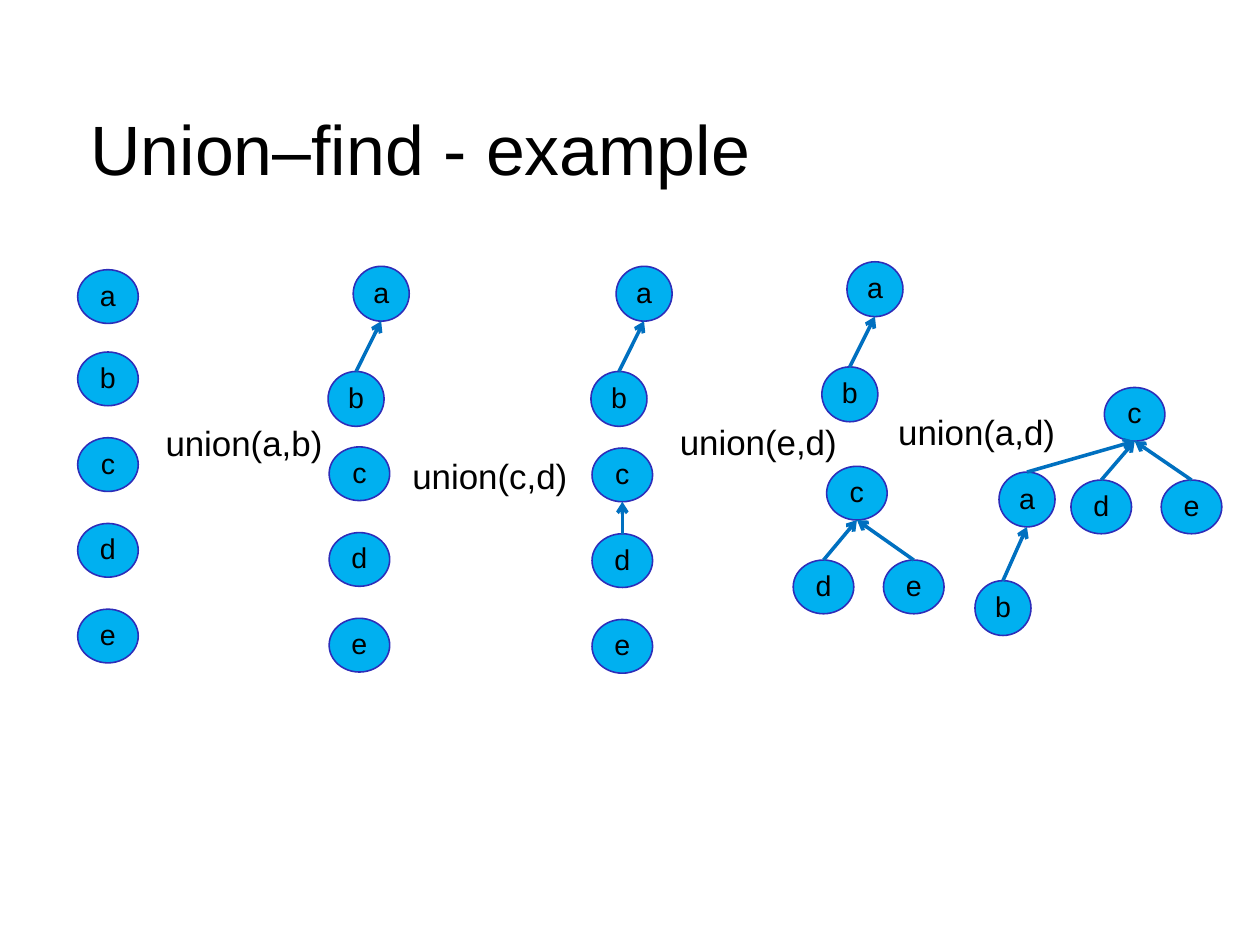
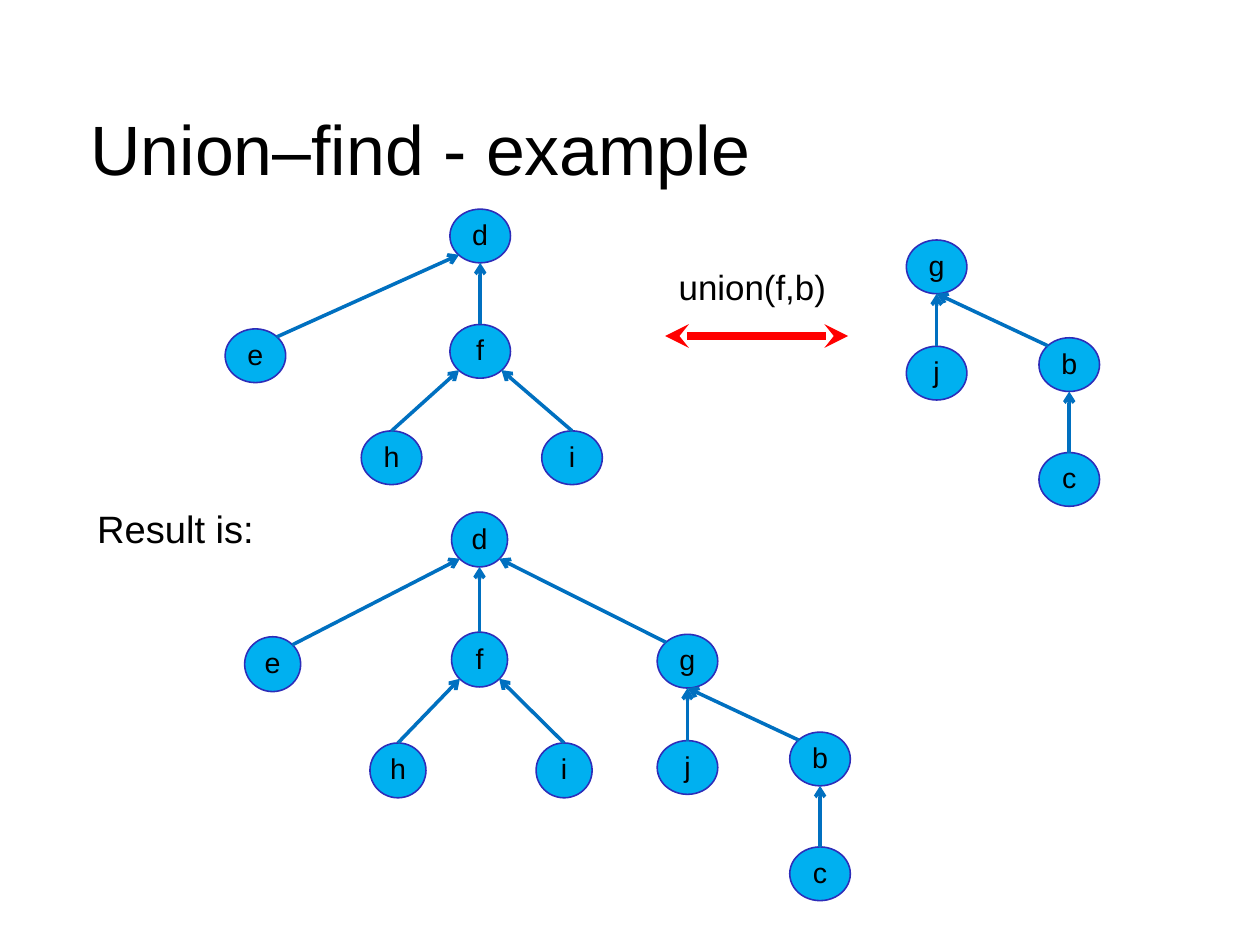
"""Builds two slides that show union-find trees being merged."""
from lxml import etree
from pptx import Presentation
from pptx import util as u
from pptx.dml import color
from pptx.enum import shapes, text
from pptx.oxml import ns

BLACK = color.RGBColor(0x00, 0x00, 0x00)
NODE_FILL = color.RGBColor(0x00, 0xB0, 0xF0)
NODE_LINE = color.RGBColor(0x2D, 0x2D, 0xB9)
EDGE = color.RGBColor(0x00, 0x70, 0xC0)
RED = color.RGBColor(0xFF, 0x00, 0x00)
FONT = "Arial"
TITLE = "Union–find - example"

WIDE, ROUND = (0.53, 0.47), (0.49, 0.48)

TOP, BOTTOM = (0.5, 0), (0.5, 1)
TOP_LEFT, TOP_RIGHT = (0.15, 0.15), (0.85, 0.15)
BOTTOM_LEFT, BOTTOM_RIGHT = (0.15, 0.85), (0.85, 0.85)

PAIR = {"a": (1, 0), "b": (0, 1)}
PAIR_EDGES = [("a", BOTTOM, "b", TOP)]
FAN = {"c": (0.37, 0), "d": (0, 1), "e": (1, 1)}
FAN_EDGES = [("c", BOTTOM, "d", TOP), ("c", BOTTOM, "e", TOP)]
D_TREE = {"d": (0.71, 0), "e": (0, 0.54), "f": (0.71, 0.52),
          "h": (0.43, 1), "i": (1, 1)}
D_EDGES = [("d", BOTTOM_LEFT, "e", TOP_RIGHT), ("d", BOTTOM, "f", TOP),
           ("f", BOTTOM_LEFT, "h", TOP), ("f", BOTTOM_RIGHT, "i", TOP)]
G_TREE = {"g": (0, 0), "j": (0, 0.5), "b": (1, 0.46), "c": (1, 1)}
G_EDGES = [("g", BOTTOM, "j", TOP), ("g", BOTTOM, "b", TOP_LEFT),
           ("b", BOTTOM, "c", TOP)]


def write(frame, words, size, align=text.PP_ALIGN.LEFT,
          anchor=text.MSO_ANCHOR.TOP, insets=(0.1, 0.05, 0.05), wrap=True):
    """Write one formatted paragraph; insets are side, top and bottom."""
    side, top, bottom = map(u.Inches, insets)
    frame.word_wrap = wrap
    frame.auto_size = text.MSO_AUTO_SIZE.NONE
    frame.vertical_anchor = anchor
    frame.margin_left = frame.margin_right = side
    frame.margin_top, frame.margin_bottom = top, bottom
    para = frame.paragraphs[0]
    para.alignment = align
    para.line_spacing = 0.93
    span = para.add_run()
    span.text = words
    span.font.name = FONT
    span.font.size = u.Pt(size)
    span.font.color.rgb = BLACK


def add_page(deck):
    """Add a slide with the shared title."""
    page = deck.slides.add_slide(deck.slide_layouts[5])
    title = page.shapes.title
    title.left, title.top = u.Inches(0.79), u.Inches(0.63)
    title.width, title.height = u.Inches(9.25), u.Inches(1.37)
    write(title.text_frame, TITLE, 44, anchor=text.MSO_ANCHOR.MIDDLE,
          insets=(0, 0.04, 0))
    return page


def add_label(page, left, top, words, size=22, **style):
    """Add a caption at a point."""
    box = page.shapes.add_textbox(*map(u.Inches, (left, top, 1.77, 0.45)))
    write(box.text_frame, words, size, **style)


def add_line(page, start, end, rgb=EDGE, width=2.25, **ends):
    """Add a line in EMU with arrowheads at headEnd, tailEnd or both."""
    line = page.shapes.add_connector(shapes.MSO_CONNECTOR.STRAIGHT, *start, *end)
    line.line.color.rgb = rgb
    line.line.width = u.Pt(width)
    outline = line._element.spPr.find(ns.qn("a:ln"))
    for tag, kind in ends.items():
        etree.SubElement(outline, ns.qn("a:" + tag), type=kind)
    etree.SubElement(line._element.spPr, ns.qn("a:effectLst"))


def add_node(page, left, top, size, name):
    """Add one named ellipse."""
    node = page.shapes.add_shape(shapes.MSO_SHAPE.OVAL,
                                 *map(u.Inches, (left, top, *size)))
    node.shadow.inherit = False
    node.fill.solid()
    node.fill.fore_color.rgb = NODE_FILL
    node.line.color.rgb = NODE_LINE
    node.line.width = u.Pt(1)
    write(node.text_frame, name, 18, align=text.PP_ALIGN.CENTER,
          anchor=text.MSO_ANCHOR.MIDDLE, wrap=False)
    return node


def site(node, place):
    """Return the point at a fraction of a node's width and height."""
    return (int(node.left + node.width * place[0]),
            int(node.top + node.height * place[1]))


def add_edges(page, nodes, edges):
    """Point each child at its parent."""
    for parent, parent_site, child, child_site in edges:
        add_line(page, site(nodes[parent], parent_site),
                 site(nodes[child], child_site), headEnd="arrow")


def add_tree(page, box, places, edges=(), size=WIDE):
    """Spread nodes over a box by fractions and link them."""
    left, top, width, height = box
    nodes = {name: add_node(page, left + across * (width - size[0]),
                            top + down * (height - size[1]), size, name)
             for name, (across, down) in places.items()}
    add_edges(page, nodes, edges)
    return nodes


def add_column(page, box, names, edges=()):
    """Stack nodes at equal gaps over a box."""
    places = {name: (0, row / (len(names) - 1)) for row, name in enumerate(names)}
    add_tree(page, box, places, edges)


def steps_page(deck):
    """Show five sets merged by four unions."""
    page = add_page(deck)
    for left, top, words in ((1.35, 3.67, "union(a,b)"), (3.51, 3.96, "union(c,d)"),
                             (5.85, 3.66, "union(e,d)"), (7.76, 3.58, "union(a,d)")):
        add_label(page, left, top, words)
    add_node(page, 0.68, 2.36, WIDE, "a")
    add_column(page, (0.68, 3.08, 0.53, 2.72), "bcde")
    add_column(page, (2.88, 3.91, 0.53, 1.97), "cde")
    add_column(page, (5.18, 3.92, 0.53, 1.97), "cde", [("c", BOTTOM, "d", TOP)])
    for left, top in ((2.87, 2.33), (5.17, 2.33), (7.19, 2.29)):
        add_tree(page, (left, top, 0.71, 1.4), PAIR, PAIR_EDGES, ROUND)
    add_tree(page, (6.94, 4.08, 1.32, 1.29), FAN, FAN_EDGES)
    merged = add_tree(page, (9.37, 3.39, 1.32, 1.28), FAN, FAN_EDGES)
    merged |= add_tree(page, (8.53, 4.13, 0.7, 1.43), PAIR, PAIR_EDGES, ROUND)
    add_edges(page, merged, [("c", BOTTOM, "a", TOP)])


def result_page(deck):
    """Show two trees and the tree that their union gives."""
    page = add_page(deck)
    add_label(page, 0.85, 4.46, "Result is:", size=24, insets=(0, 0, 0))
    add_tree(page, (1.97, 1.83, 3.3, 2.41), D_TREE, D_EDGES)
    add_line(page, (u.Inches(5.82), u.Inches(2.94)), (u.Inches(7.42), u.Inches(2.94)),
             rgb=RED, width=5, headEnd="stealth", tailEnd="stealth")
    add_label(page, 5.84, 2.31, "union(f,b)")
    add_tree(page, (7.93, 2.1, 1.69, 2.33), G_TREE, G_EDGES)
    result = add_tree(page, (2.14, 4.48, 3.04, 2.5), D_TREE, D_EDGES, ROUND)
    result |= add_tree(page, (5.75, 5.55, 1.69, 2.33), G_TREE, G_EDGES)
    add_edges(page, result, [("d", BOTTOM_RIGHT, "g", TOP_LEFT)])


def main():
    """Build and save the deck."""
    deck = Presentation()
    deck.slide_width = u.Mm(280)
    deck.slide_height = u.Mm(210)
    steps_page(deck)
    result_page(deck)
    deck.save("out.pptx")


main()
